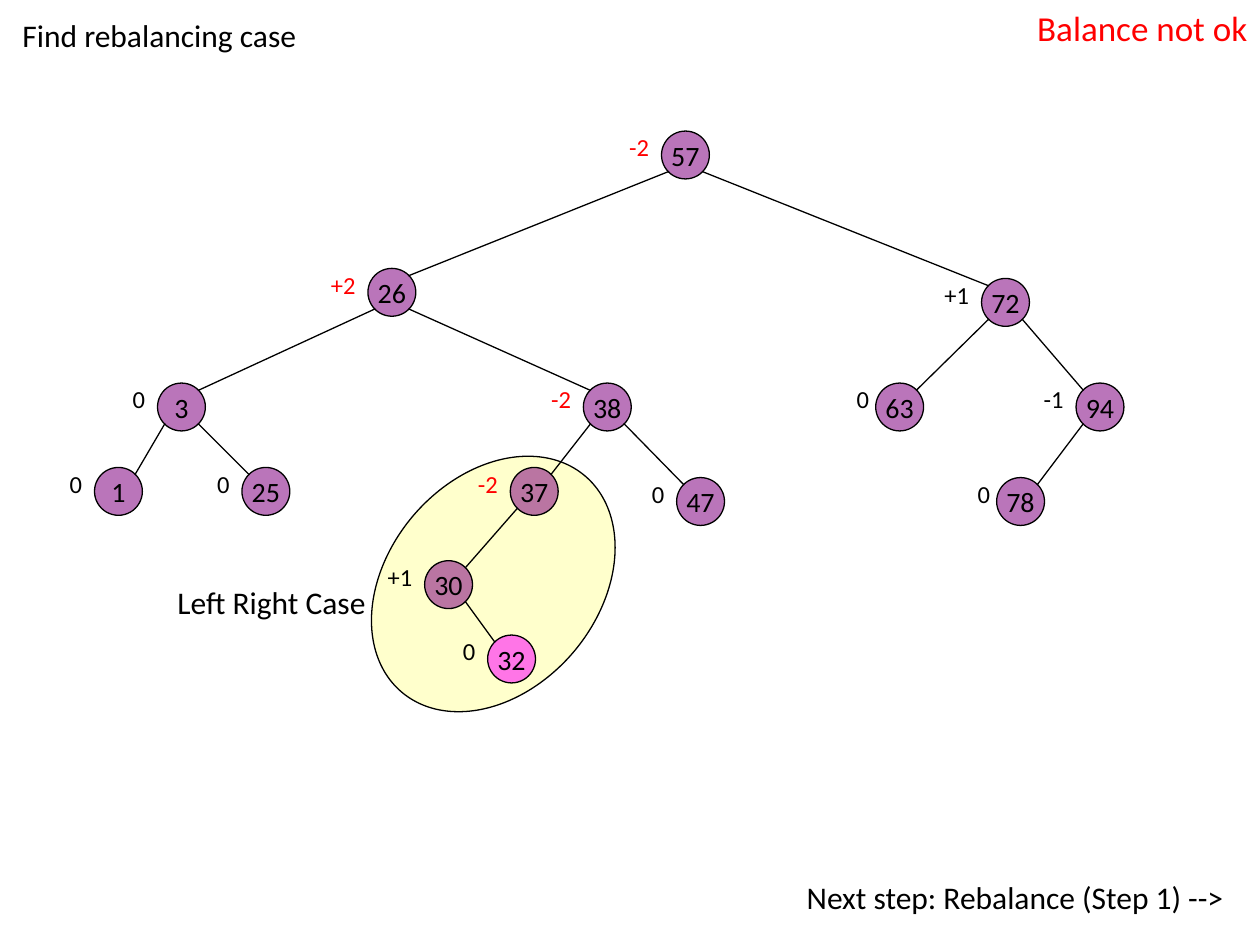
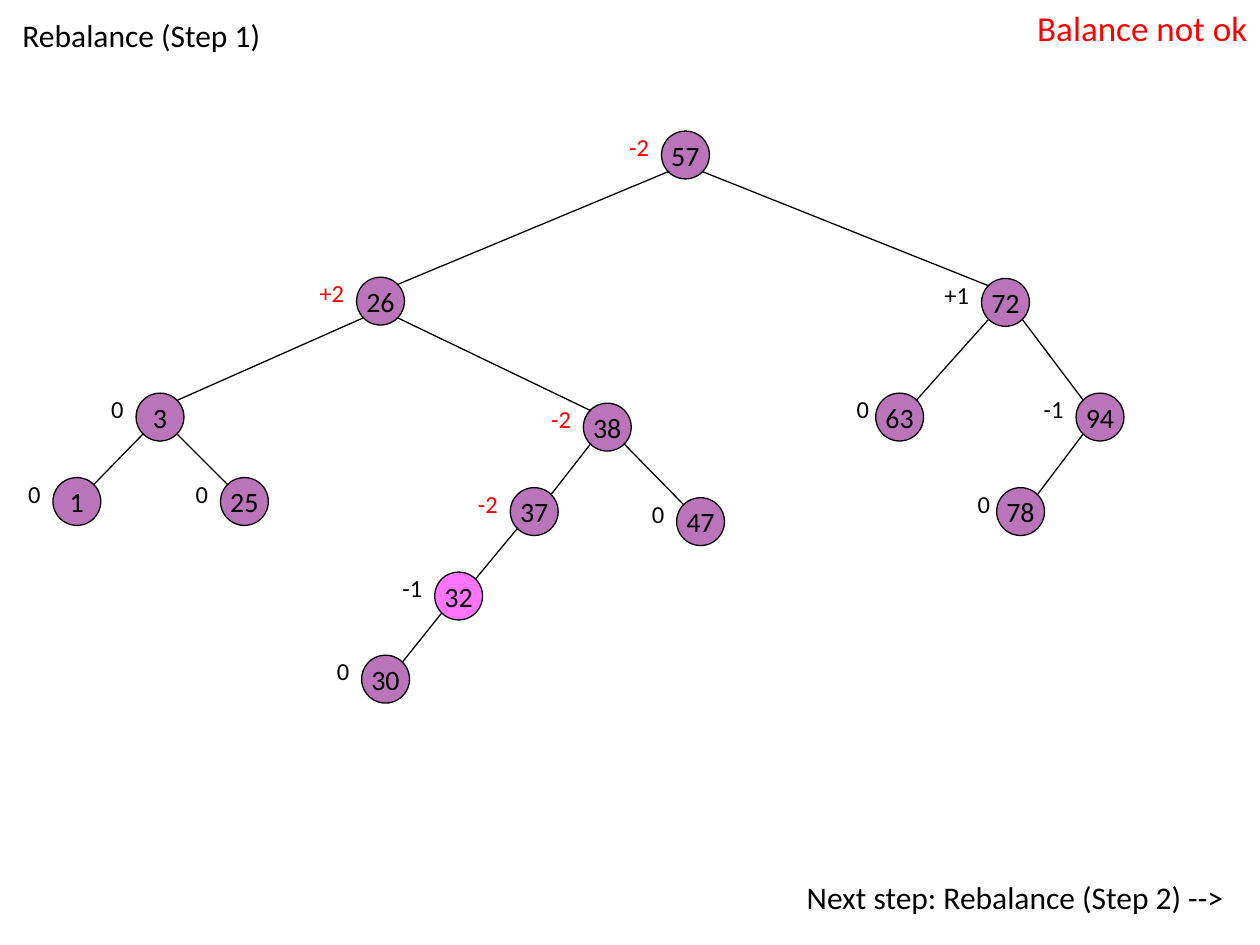
from collections import namedtuple
from dataclasses import dataclass

from lxml.etree import SubElement
from pptx import Presentation
from pptx.dml.color import RGBColor
from pptx.enum.shapes import MSO_CONNECTOR, MSO_SHAPE
from pptx.enum.text import MSO_ANCHOR, PP_ALIGN
from pptx.oxml.ns import qn
from pptx.util import Emu, Pt

SCALE = 9144
Box = namedtuple("Box", "left top width height")
Node = namedtuple("Node", "key parent x y balance")


@dataclass(frozen=True)
class Theme:
    font: str = "Calibri"
    ink: str = "000000"
    alert: str = "FF0000"
    node: str = "800080"
    moved: str = "FF00FF"
    halo: str = "FFFF00"
    status: int = 20
    body: int = 18
    key: int = 16
    label: int = 14
    line: float = 0.75


THEME = Theme()
PAGE = Box(0, 0, 1000, 750)
TREE = Box(0, 100, 1000, 500)
SIZE = 38
NEAR, FAR = 6, 32
MOVED = 32
WIDTHS = {1: 42, 25: 42, 26: 92, 57: 117, 72: 67, 94: 58, 78: 25, 63: 25,
          37: 63, 47: 63, 38: 71, 30: 45, 32: 45}

CASE = [
    Node(3, 26, 125, 204, 0), Node(25, 3, 192, 271, 0),
    Node(26, 57, 292, 113, 2), Node(57, None, 525, 4, -2),
    Node(72, 57, 779, 121, 1), Node(94, 72, 854, 204, -1),
    Node(78, 94, 791, 279, 0), Node(63, 72, 695, 204, 0),
    Node(37, 38, 405, 271, -2), Node(47, 38, 537, 279, 0),
    Node(38, 26, 463, 204, -2), Node(1, 3, 75, 271, 0),
    Node(30, 37, 337, 345, 1), Node(32, 30, 387, 404, 0),
]
STEP = [
    Node(3, 26, 108, 212, 0), Node(25, 3, 175, 279, 0),
    Node(26, 57, 283, 120, 2), Node(57, None, 525, 4, -2),
    Node(72, 57, 779, 121, 1), Node(94, 72, 854, 212, -1),
    Node(78, 94, 791, 287, 0), Node(63, 72, 695, 212, 0),
    Node(37, 38, 405, 287, -2), Node(47, 38, 537, 295, 0),
    Node(38, 26, 463, 220, -2), Node(1, 3, 42, 279, 0),
    Node(30, 32, 287, 420, 0), Node(32, 37, 345, 354, -1),
]


def px(*sizes):
    return [Emu(size * SCALE) for size in sizes]


def color(code):
    return RGBColor.from_string(code)


def write(frame, text, size, tint=THEME.ink, align=PP_ALIGN.LEFT):
    par = frame.paragraphs[0]
    par.text = text
    par.alignment = align
    par.font.name = THEME.font
    par.font.size = Pt(size)
    par.font.color.rgb = color(tint)


def add_text(shapes, box, *style):
    frame = shapes.add_textbox(*px(*box)).text_frame
    frame.word_wrap = True
    write(frame, *style)


def draw_line(line):
    line.color.rgb = color(THEME.ink)
    line.width = Pt(THEME.line)


def add_oval(shapes, box, tint, alpha):
    oval = shapes.add_shape(MSO_SHAPE.OVAL, *px(*box))
    oval.shadow.inherit = False
    oval.fill.solid()
    oval.fill.fore_color.rgb = color(tint)
    fill = oval.fill._xPr.find(qn("a:solidFill"))[0]
    SubElement(fill, qn("a:alpha")).set("val", str(alpha * 1000))
    draw_line(oval.line)
    return oval


def add_edge(shapes, box, top, child):
    start, end = (NEAR, FAR) if child.key < top.key else (FAR, NEAR)
    edge = shapes.add_connector(MSO_CONNECTOR.STRAIGHT, *px(
        box.left + top.x + start, box.top + top.y + FAR,
        box.left + child.x + end, box.top + child.y + NEAR))
    SubElement(edge._element.spPr, qn("a:effectLst"))
    draw_line(edge.line)


def add_node(shapes, box, node):
    group = shapes.add_group_shape().shapes
    left, top = box.left + node.x, box.top + node.y
    tint = THEME.moved if node.key == MOVED else THEME.node
    oval = add_oval(group, Box(left, top, SIZE, SIZE), tint, 54)
    frame = oval.text_frame
    frame.word_wrap = False
    frame.vertical_anchor = MSO_ANCHOR.MIDDLE
    write(frame, str(node.key), THEME.key, THEME.ink, PP_ALIGN.CENTER)
    width = WIDTHS.get(node.key, 50)
    text = f"{node.balance:+d}" if node.balance else "0"
    tint = THEME.alert if abs(node.balance) > 1 else THEME.ink
    align = PP_ALIGN.LEFT if width < SIZE else PP_ALIGN.RIGHT
    add_text(group, Box(left - width, top - 4, width, 33),
             text, THEME.label, tint, align)


def add_tree(shapes, box, nodes):
    index = {node.key: node for node in nodes}
    for node in nodes:
        if node.parent:
            add_edge(shapes, box, index[node.parent], node)
    for node in nodes:
        add_node(shapes, box, node)


def add_halo(shapes, box, text):
    halo = add_oval(shapes, Box(box.left + 308, box.top + 251, 167, 225),
                    THEME.halo, 20)
    halo.rotation = 40.3
    add_text(shapes, Box(box.left + 83, box.top + 358, 217, 40),
             text, THEME.body, THEME.ink, PP_ALIGN.RIGHT)


def add_frame(shapes, box, title, step):
    right, foot = box.left + box.width, box.top + box.height
    add_text(shapes, Box(box.left + 8, box.top + 8, box.width - 8, 50),
             title, THEME.body)
    add_text(shapes, Box(box.left, foot - 58, box.width - 19, 50),
             f"Next step: {step} -->", THEME.body, THEME.ink, PP_ALIGN.RIGHT)
    add_text(shapes, Box(right - 267, box.top, 267, 43),
             "Balance not ok", THEME.status, THEME.alert, PP_ALIGN.RIGHT)


def add_slide(deck, title, step, nodes, case=None):
    shapes = deck.slides.add_slide(deck.slide_layouts[6]).shapes
    if case:
        add_halo(shapes, TREE, case)
    add_frame(shapes, PAGE, title, step)
    add_tree(shapes, TREE, nodes)


def main():
    deck = Presentation()
    deck.slide_width, deck.slide_height = px(PAGE.width, PAGE.height)
    add_slide(deck, "Find rebalancing case", "Rebalance (Step 1)", CASE,
              "Left Right Case")
    add_slide(deck, "Rebalance (Step 1)", "Rebalance (Step 2)", STEP)
    deck.save("out.pptx")


if __name__ == "__main__":
    main()
